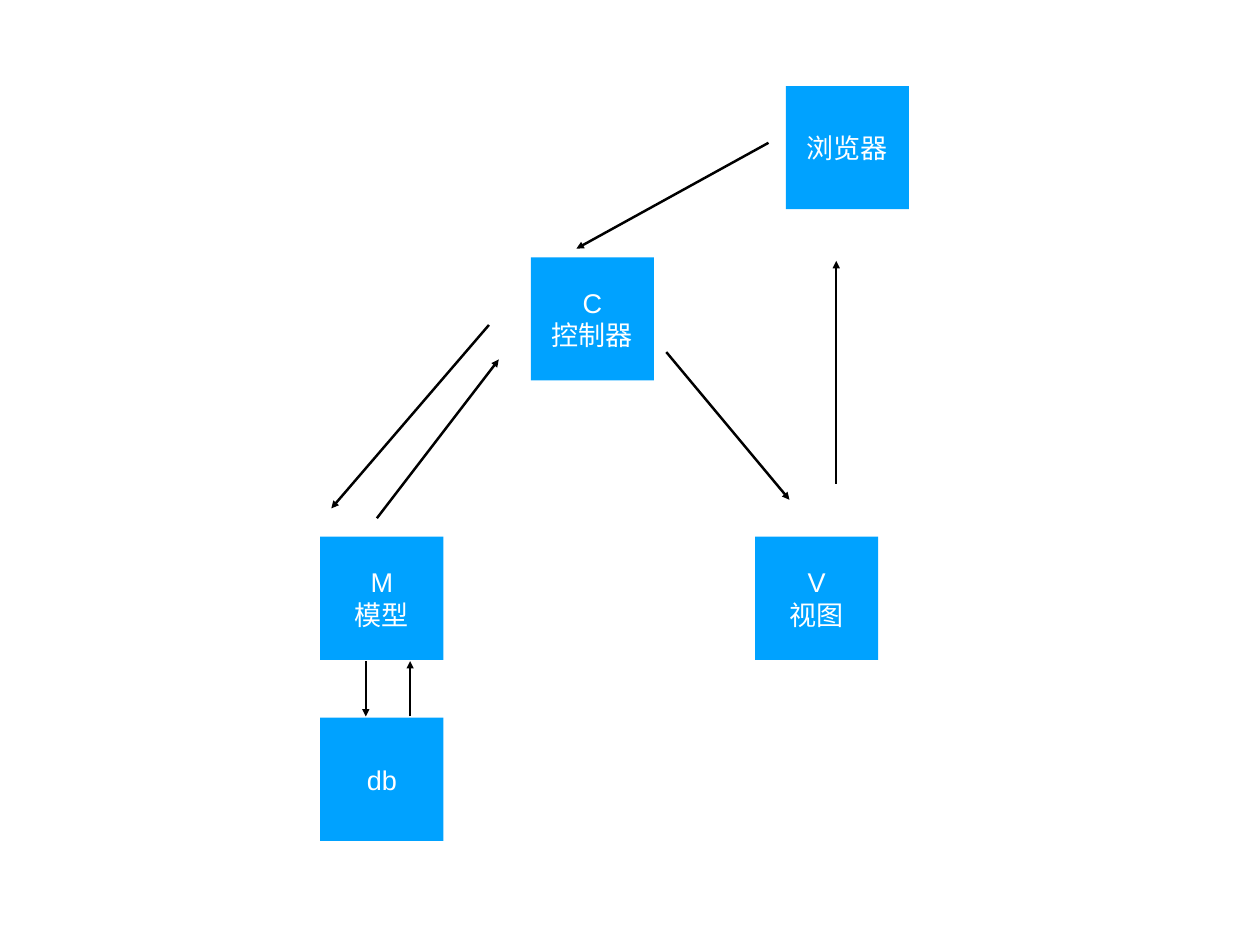
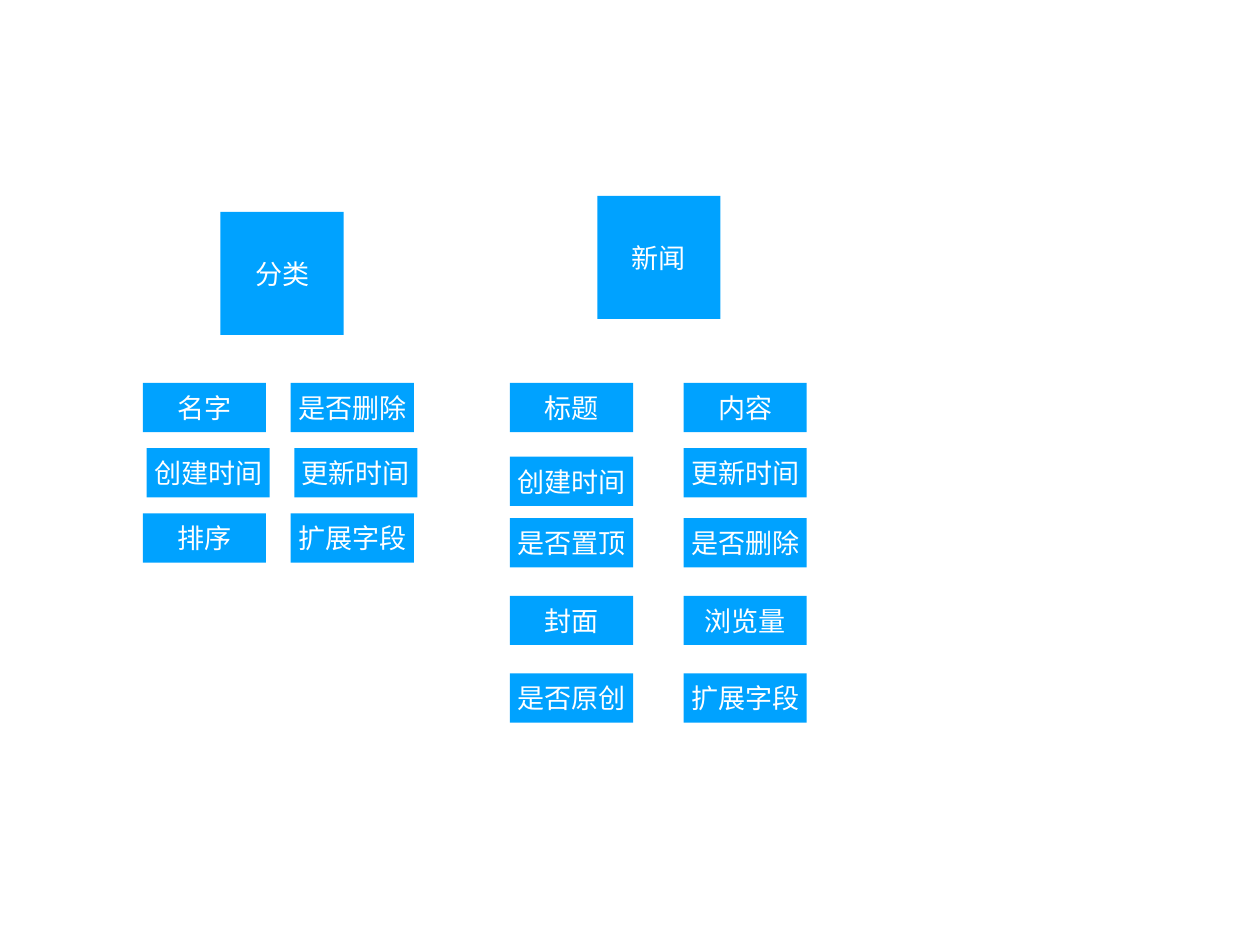
from dataclasses import dataclass

from lxml.etree import SubElement
from pptx import Presentation
from pptx.dml.color import RGBColor
from pptx.enum.shapes import MSO_CONNECTOR as Connector, MSO_SHAPE as Shape
from pptx.enum.text import MSO_ANCHOR as Anchor, PP_ALIGN as Align
from pptx.oxml.ns import qn
from pptx.util import Inches, Pt


@dataclass(frozen=True)
class Theme:
    fill: RGBColor = RGBColor(0x00, 0xA2, 0xFF)
    text: RGBColor = RGBColor(0xFF, 0xFF, 0xFF)
    arrow: RGBColor = RGBColor(0x00, 0x00, 0x00)
    font: str = "Arial"
    text_size: int = 22
    line_width: int = 2
    inset: float = 0.06
    cell: float = 1.39
    field_rows: float = 0.4


THEME = Theme()


@dataclass(frozen=True)
class Box:
    column: float
    row: float
    columns: float = 1
    rows: float = 1

    def inside(self, column, row, columns=1, rows=1):
        return Box(self.column + column, self.row + row, columns, rows)


def cells(count):
    return Inches(count * THEME.cell)


def add_block(page, box, *lines):
    block = page.shapes.add_shape(
        Shape.RECTANGLE, cells(box.column), cells(box.row), cells(box.columns), cells(box.rows)
    )
    block.shadow.inherit = False
    block.fill.solid()
    block.fill.fore_color.rgb = THEME.fill
    block.line.fill.background()
    frame = block.text_frame
    frame.word_wrap = True
    frame.vertical_anchor = Anchor.MIDDLE
    frame.margin_left = frame.margin_right = Inches(THEME.inset)
    frame.margin_top = frame.margin_bottom = Inches(THEME.inset)
    for index, line in enumerate(lines):
        para = frame.add_paragraph() if index else frame.paragraphs[0]
        para.alignment = Align.CENTER
        span = para.add_run()
        span.text = line
        span.font.name = THEME.font
        span.font.size = Pt(THEME.text_size)
        span.font.color.rgb = THEME.text


def add_arrow(page, box, start, end):
    tail, head = box.inside(*start), box.inside(*end)
    arrow = page.shapes.add_connector(
        Connector.STRAIGHT, cells(tail.column), cells(tail.row), cells(head.column), cells(head.row)
    )
    arrow.line.color.rgb = THEME.arrow
    arrow.line.width = Pt(THEME.line_width)
    properties = arrow.line._get_or_add_ln()
    SubElement(properties, qn("a:tailEnd"), type="triangle")
    SubElement(arrow._element.spPr, qn("a:effectLst"))


def add_mvc_diagram(page, box):
    nodes = [
        (1.71, 1.39, "C", "控制器"),
        (0, 3.66, "M", "模型"),
        (3.53, 3.66, "V", "视图"),
        (3.78, 0, "浏览器"),
        (0, 5.13, "db"),
    ]
    arrows = [
        ((3.64, 0.46), (2.08, 1.32)),
        ((1.37, 1.94), (0.09, 3.43)),
        ((0.37, 4.67), (0.37, 5.12)),
        ((0.73, 5.12), (0.73, 4.67)),
        ((0.46, 3.51), (1.45, 2.22)),
        ((2.81, 2.16), (3.81, 3.36)),
        ((4.19, 3.23), (4.19, 1.42)),
    ]
    for column, row, *lines in nodes:
        add_block(page, box.inside(column, row), *lines)
    for start, end in arrows:
        add_arrow(page, box, start, end)


def add_entity(page, box, title, title_column, column_pitch, field_table, nudges):
    add_block(page, box.inside(title_column, 0), title)
    for row, names in field_table:
        for index, name in enumerate(names):
            right, down = nudges.get(name, (0, 0))
            place = box.inside(index * column_pitch + right, row + down, rows=THEME.field_rows)
            add_block(page, place, name)


def add_mvc_page(deck, layout):
    page = deck.slides.add_slide(layout)
    add_mvc_diagram(page, Box(2.6, 0.7))


def add_entities_page(deck, layout):
    page = deck.slides.add_slide(layout)
    category_fields = [
        (1.39, ("名字", "是否删除")),
        (1.92, ("创建时间", "更新时间")),
        (2.45, ("排序", "扩展字段")),
    ]
    news_fields = [
        (1.52, ("标题", "内容")),
        (2.05, ("创建时间", "更新时间")),
        (2.62, ("是否置顶", "是否删除")),
        (3.25, ("封面", "浏览量")),
        (3.88, ("是否原创", "扩展字段")),
    ]
    category_nudges = {"创建时间": (0.03, 0), "更新时间": (0.03, 0)}
    news_nudges = {"创建时间": (0, 0.07)}
    add_entity(page, Box(1.16, 1.72), "分类", 0.63, 1.2, category_fields, category_nudges)
    add_entity(page, Box(4.14, 1.59), "新闻", 0.71, 1.41, news_fields, news_nudges)


def main():
    deck = Presentation()
    deck.slide_width, deck.slide_height = Inches(14.22), Inches(10.67)
    blank = deck.slide_layouts[6]
    add_mvc_page(deck, blank)
    add_entities_page(deck, blank)
    deck.save("out.pptx")


if __name__ == "__main__":
    main()
